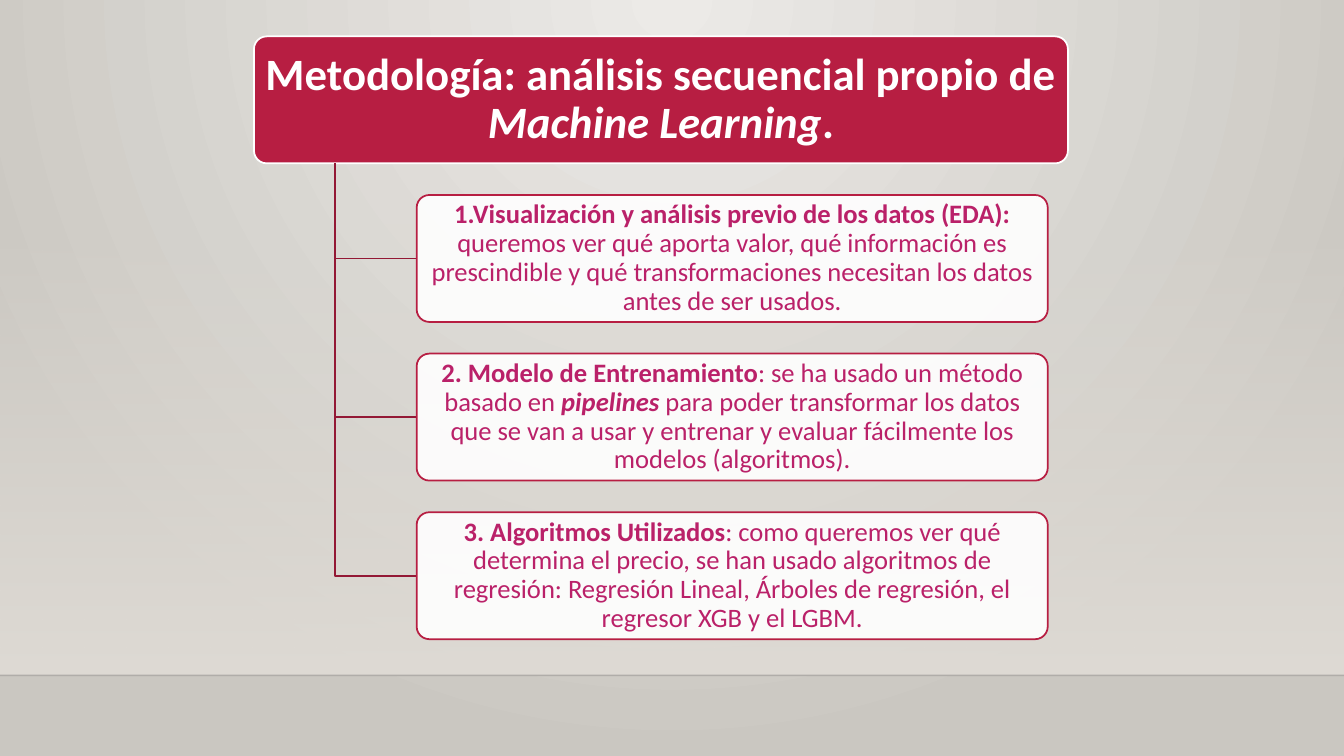
from dataclasses import dataclass

from lxml.etree import SubElement
from pptx import Presentation
from pptx.dml.color import RGBColor
from pptx.enum.shapes import MSO_CONNECTOR, MSO_SHAPE
from pptx.enum.text import MSO_ANCHOR, MSO_AUTO_SIZE, PP_ALIGN
from pptx.oxml.ns import qn
from pptx.util import Pt


@dataclass(frozen=True)
class Theme:
    """Colours, font and sizes of the slide."""
    font: str = "Calibri"
    title_size: float = 32
    body_size: float = 19
    line_width: float = 1.25
    glow: str = "ECEAE7"
    edge: str = "CAC7C1"
    floor: str = "DFDBD5"
    floor_line: str = "000001"
    crimson: str = "B71E42"
    branch: str = "931835"
    body: str = "BA2169"
    white: str = "FFFFFF"


THEME = Theme()
WIDTH, HEIGHT = 960, 540
FLOOR_TOP, FLOOR_BOTTOM = 159.1, 482.4
HEADER_LEFT, HEADER_TOP, HEADER_WIDTH = 181.4, 26, 581.4
CARD_LEFT, CARD_WIDTH = 297.6, 450.8
BOX_HEIGHT, PITCH = 90.7, 113.3
TRUNK_X = HEADER_LEFT + HEADER_WIDTH / 10
CORNER = 0.1
CORNER_INSET = 2.66

TITLE = [("Metodología: análisis secuencial propio de ", "b"),
         ("Machine Learning", "bi"), (".", "b")]
STEPS = [
    [("1.Visualización y análisis previo de los datos (EDA): ", "b"),
     ("queremos ver qué aporta valor, qué información es prescindible y qué "
      "transformaciones necesitan los datos antes de ser usados.", "")],
    [("2. Modelo de Entrenamiento", "b"),
     (": se ha usado un método basado en ", ""),
     ("pipelines ", "bi"),
     ("para poder transformar los datos que se van a usar y entrenar y evaluar "
      "fácilmente los modelos (algoritmos).", "")],
    [("3. Algoritmos Utilizados", "b"),
     (": como queremos ver qué determina el precio, se han usado algoritmos de "
      "regresión: Regresión Lineal, Árboles de regresión, el regresor XGB y el "
      "LGBM.", "")],
]


def rgb(code):
    """Return the colour for a hex code."""
    return RGBColor.from_string(code)


def set_alpha(color, percent):
    """Give a colour element an opacity."""
    SubElement(color, qn("a:alpha")).set("val", str(percent * 1000))


def set_gradient(fill, first, last):
    """Make a fill a gradient of two colours."""
    fill.gradient()
    for stop, code in zip(fill.gradient_stops, (first, last)):
        stop.color.rgb = rgb(code)


def set_background(s):
    """Paint the radial background."""
    set_gradient(s.background.fill, THEME.glow, THEME.edge)
    grad = next(s.element.iter(qn("a:gradFill")))
    grad.remove(grad.find(qn("a:lin")))
    radial = SubElement(grad, qn("a:path"))
    radial.set("path", "circle")
    rect = SubElement(radial, qn("a:fillToRect"))
    for side, share in (("l", 43000), ("r", 43000), ("b", 100000)):
        rect.set(side, str(share))


def add_floor(s):
    """Add the fading wall and the line where it meets the floor."""
    sp = s.shapes.add_shape(MSO_SHAPE.RECTANGLE, 0, Pt(FLOOR_TOP),
                            Pt(WIDTH), Pt(FLOOR_BOTTOM - FLOOR_TOP))
    sp.shadow.inherit = False
    sp.line.fill.background()
    set_gradient(sp.fill, THEME.floor, THEME.floor)
    sp.fill.gradient_angle = 270
    set_alpha(next(sp.element.spPr.iter(qn("a:srgbClr"))), 0)

    line = s.shapes.add_connector(MSO_CONNECTOR.STRAIGHT, 0, Pt(FLOOR_BOTTOM),
                                  Pt(WIDTH), Pt(FLOOR_BOTTOM))
    line.line.color.rgb = rgb(THEME.floor_line)
    line.line.width = Pt(1)
    sp_pr = line.element.spPr
    set_alpha(next(sp_pr.iter(qn("a:srgbClr"))), 20)
    SubElement(sp_pr, qn("a:effectLst"))


def add_box(s, left, top, width, fill, line):
    """Add a rounded box."""
    sp = s.shapes.add_shape(MSO_SHAPE.ROUNDED_RECTANGLE, Pt(left), Pt(top),
                            Pt(width), Pt(BOX_HEIGHT))
    sp.adjustments[0] = CORNER
    sp.shadow.inherit = False
    sp.fill.solid()
    sp.fill.fore_color.rgb = rgb(fill)
    sp.line.color.rgb = rgb(line)
    sp.line.width = Pt(THEME.line_width)
    return sp


def write(sp, parts, size, color, inset_x, inset_y):
    """Write centred text from (words, style) parts."""
    tf = sp.text_frame
    tf.word_wrap = True
    tf.auto_size = MSO_AUTO_SIZE.NONE
    tf.vertical_anchor = MSO_ANCHOR.MIDDLE
    tf.margin_left = tf.margin_right = Pt(inset_x)
    tf.margin_top = tf.margin_bottom = Pt(inset_y)
    p = tf.paragraphs[0]
    p.alignment = PP_ALIGN.CENTER
    p.line_spacing = 0.9
    for words, style in parts:
        r = p.add_run()
        r.text = words
        r.font.name = THEME.font
        r.font.size = Pt(size)
        r.font.color.rgb = rgb(color)
        r.font.bold = "b" in style
        r.font.italic = "i" in style


def add_header(s):
    """Add the title on its crimson box."""
    add_box(s, HEADER_LEFT, HEADER_TOP, HEADER_WIDTH, THEME.crimson, THEME.white)
    title = s.shapes.title
    title.left, title.top = Pt(HEADER_LEFT + CORNER_INSET), Pt(HEADER_TOP + CORNER_INSET)
    title.width = Pt(HEADER_WIDTH - 2 * CORNER_INSET)
    title.height = Pt(BOX_HEIGHT - 2 * CORNER_INSET)
    write(title, TITLE, THEME.title_size, THEME.white, 4.8, 3.2)
    s.shapes.element.append(title.element)


def add_branch(s, end_y):
    """Add the elbow from the header to a card."""
    start_y = HEADER_TOP + BOX_HEIGHT
    builder = s.shapes.build_freeform(Pt(TRUNK_X), Pt(start_y))
    builder.add_line_segments([(Pt(TRUNK_X), Pt(end_y)),
                               (Pt(CARD_LEFT), Pt(end_y))], close=False)
    sp = builder.convert_to_shape()
    sp.shadow.inherit = False
    sp.fill.background()
    sp.line.color.rgb = rgb(THEME.branch)
    sp.line.width = Pt(THEME.line_width)


def add_step(s, top, parts):
    """Add a card with its branch."""
    add_branch(s, top + BOX_HEIGHT / 2)
    sp = add_box(s, CARD_LEFT, top, CARD_WIDTH, THEME.white, THEME.crimson)
    set_alpha(next(sp.element.spPr.iter(qn("a:srgbClr"))), 90)
    write(sp, parts, THEME.body_size, THEME.body, 2.9, 1.9)


def main():
    """Build and save the slide."""
    prs = Presentation()
    prs.slide_width, prs.slide_height = Pt(WIDTH), Pt(HEIGHT)
    s = prs.slides.add_slide(prs.slide_layouts.get_by_name("Title Only"))
    set_background(s)
    add_floor(s)
    add_header(s)
    for row, parts in enumerate(STEPS, start=1):
        add_step(s, HEADER_TOP + row * PITCH, parts)
    prs.save("out.pptx")


if __name__ == "__main__":
    main()
